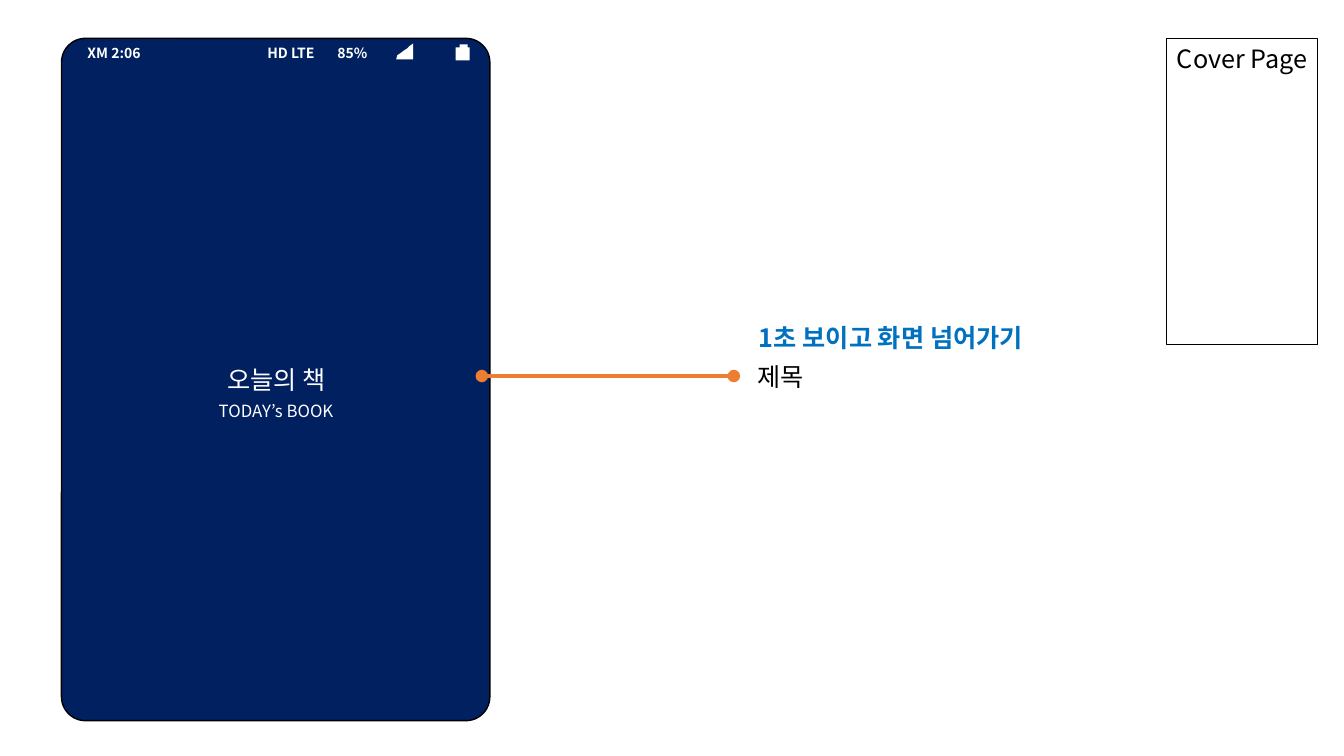
"""Builds the cover page slide of a mobile app storyboard."""
from typing import NamedTuple

from lxml.etree import SubElement
from pptx import Presentation
from pptx.dml.color import RGBColor
from pptx.enum.shapes import MSO_CONNECTOR as Link, MSO_SHAPE as Form
from pptx.enum.text import MSO_ANCHOR as Anchor, MSO_AUTO_SIZE as Fit, PP_ALIGN as Align
from pptx.oxml.ns import qn
from pptx.util import Pt

FONT = "Noto Sans CJK KR"
NAVY = RGBColor(0x00, 0x20, 0x60)
BLUE = RGBColor(0x00, 0x70, 0xC0)
ORANGE = RGBColor(0xED, 0x7D, 0x31)
WHITE = RGBColor(0xFF, 0xFF, 0xFF)
BLACK = RGBColor(0x00, 0x00, 0x00)


class Box(NamedTuple):
    left: float
    top: float
    width: float
    height: float

    def span(self):
        return [Pt(side) for side in self]


class Label(NamedTuple):
    text: str
    box: Box
    style: dict


PHONE = Box(43.9, 27.4, 306, 487.4)
BATTERY = [Box(325.4, 33.8, 10, 9.4), Box(328.3, 31.7, 5.8, 8.6)]
SIGNAL = [(283, 42.5), (295.2, 42.5), (295.2, 31), (292.3, 33.1),
          (290.9, 34.6), (288.7, 36), (285.8, 38.2), (283.7, 39.6)]
TABS = [128.5, 178.5]
LABELS = [
    Label("오늘의 책", Box(149.8, 257, 95, 28.8),
          dict(color=WHITE, align=Align.CENTER)),
    Label("TODAY’s BOOK", Box(113, 283, 168.5, 21.6),
          dict(size=12, color=WHITE, align=Align.CENTER)),
    Label("제목", Box(534.2, 254.9, 51.1, 28.8), dict(wrap=False)),
    Label("1초 보이고 화면 넘어가기", Box(535, 226.8, 226, 28.8),
          dict(color=BLUE, bold=True, wrap=False)),
    Label("XM 2:06\tHD LTE\t85%", Box(55.4, 28.1, 287.3, 19.4),
          dict(size=10, color=WHITE, bold=True, tabs=TABS)),
]


def write(shape, text: str, size: float = 18, color: RGBColor = BLACK,
          bold: bool = False, align=Align.LEFT, wrap: bool = True, tabs=()):
    """Puts one formatted line of text into a shape."""
    frame = shape.text_frame
    frame.word_wrap = wrap
    frame.auto_size = Fit.SHAPE_TO_FIT_TEXT
    frame.vertical_anchor = Anchor.TOP
    para = frame.paragraphs[0]
    para.alignment = align
    run = para.add_run()
    run.text = text
    font = run.font
    font.name, font.size, font.bold = FONT, Pt(size), bold
    font.color.rgb = color
    SubElement(font._element, qn("a:ea"), typeface=FONT)
    if tabs:
        stops = SubElement(para._p.get_or_add_pPr(), qn("a:tabLst"))
        for stop in tabs:
            SubElement(stops, qn("a:tab"), pos=str(Pt(stop)), algn="l")


def paint(shape, color: RGBColor):
    """Gives a shape a flat fill without outline or shadow."""
    shape.shadow.inherit = False
    shape.fill.solid()
    shape.fill.fore_color.rgb = color
    shape.line.fill.background()


def edge(shape, color: RGBColor, width: float):
    """Draws the line of a shape or connector."""
    shape.line.color.rgb = color
    shape.line.width = Pt(width)


def draw_phone(shapes):
    """Draws the phone body with its signal and battery icons."""
    body = shapes.add_shape(Form.ROUNDED_RECTANGLE, *PHONE.span())
    body.adjustments[0] = 0.056
    paint(body, NAVY)
    edge(body, BLACK, 1)
    dots = [(Pt(x), Pt(y)) for x, y in SIGNAL]
    pen = shapes.build_freeform(*dots[0])
    pen.add_line_segments(dots[1:], close=True)
    paint(pen.convert_to_shape(), WHITE)
    for part in BATTERY:
        paint(shapes.add_shape(Form.RECTANGLE, *part.span()), WHITE)


def draw_link(shapes):
    """Draws the dotted-end line from the phone to its note."""
    link = shapes.add_connector(Link.STRAIGHT, Pt(344.2), Pt(268.6), Pt(524.2), Pt(268.6))
    edge(link, ORANGE, 3)
    for end in ("a:headEnd", "a:tailEnd"):
        SubElement(link.line._get_or_add_ln(), qn(end), type="oval")
    SubElement(link._element.spPr, qn("a:effectLst"))


def main():
    """Builds and saves the slide."""
    deck = Presentation()
    deck.slide_width, deck.slide_height = Pt(960), Pt(540)
    slide = deck.slides.add_slide(deck.slide_layouts[5])
    shapes = slide.shapes
    title = shapes.title
    title.left, title.top, title.width, title.height = Box(833, 27.4, 108, 28.8).span()
    write(title, "Cover Page", align=Align.RIGHT, wrap=False)
    edge(title, BLACK, 0.75)
    draw_phone(shapes)
    draw_link(shapes)
    for label in LABELS:
        write(shapes.add_textbox(*label.box.span()), label.text, **label.style)
    deck.save("out.pptx")


main()
